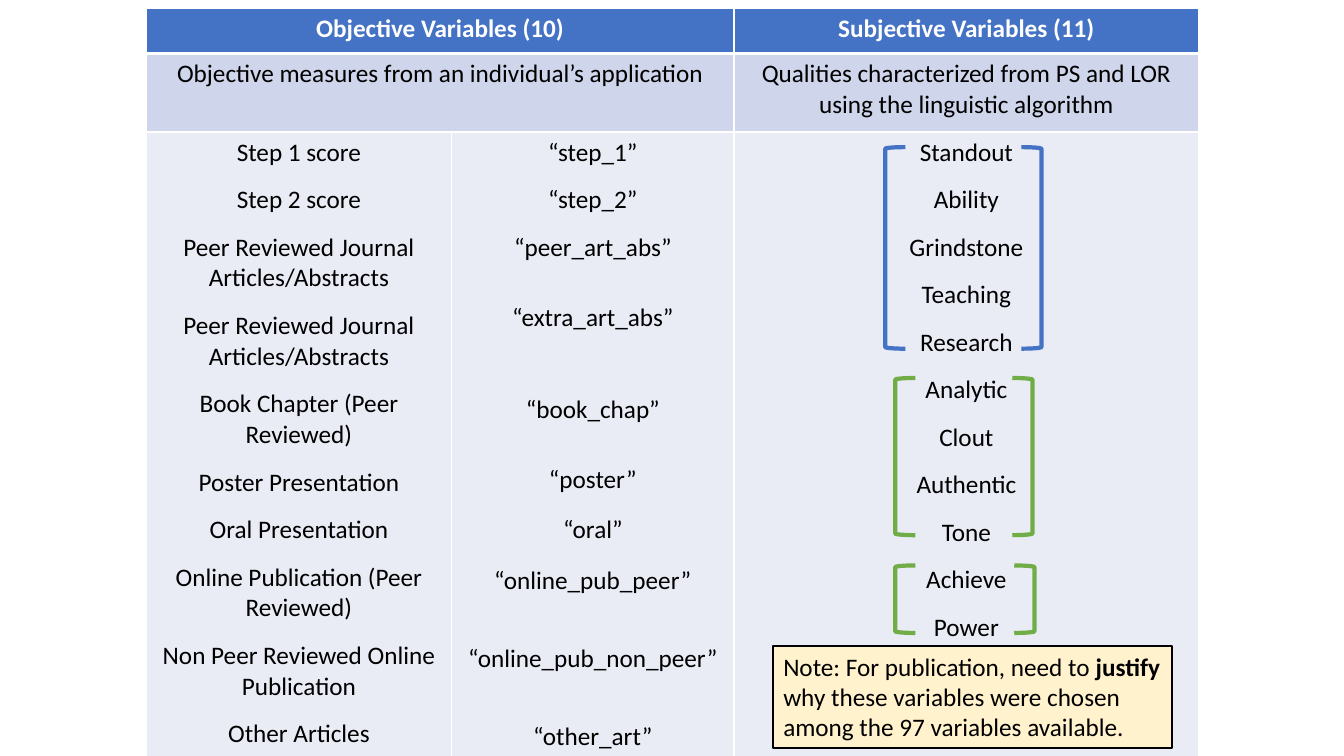
"""Build a slide that lists objective and subjective variables in a table."""
from lxml.etree import SubElement
from pptx import Presentation
from pptx.dml.color import RGBColor
from pptx.enum.shapes import MSO_SHAPE as Shape
from pptx.enum.text import MSO_ANCHOR as Anchor, PP_ALIGN as Align
from pptx.oxml.ns import qn
from pptx.util import Inches, Pt

COLORS = {"blue": "4472C4", "green": "70AD47", "band": "CFD5EA", "body": "E9EBF5",
          "cream": "FFF2CC", "white": "FFFFFF", "black": "000000"}


def color(name):
    return RGBColor.from_string(COLORS[name])


def write(para, text, ink="black", bold=False, align=Align.CENTER, before=0):
    para.alignment = align
    para.space_before = Pt(before)
    span = para.add_run()
    span.text = text
    span.font.name = "Calibri"
    span.font.size = Pt(18)
    span.font.bold = bold
    span.font.color.rgb = color(ink)


deck = Presentation()
deck.slide_width, deck.slide_height = Inches(13.33), Inches(7.5)
slide = deck.slides.add_slide(deck.slide_layouts[6])

column_widths = [3.03, 2.8, 4.61]
row_heights = [0.45, 0.78, 6.12]
row_fills = ["blue", "band", "body"]
table = slide.shapes.add_table(3, 3, Inches(1.45), Inches(0.08),
                               Inches(sum(column_widths)), Inches(sum(row_heights))).table
for column, width in zip(table.columns, column_widths):
    column.width = Inches(width)
for row, height in zip(table.rows, row_heights):
    row.height = Inches(height)

for row_index, fill in enumerate(row_fills):
    for cell in table.rows[row_index].cells:
        properties = cell._tc.get_or_add_tcPr()
        for side in "LRTB":
            heavy = (row_index, side) in [(0, "B"), (1, "T")]
            border = SubElement(properties, qn(f"a:ln{side}"), w=str(Pt(3 if heavy else 1)))
            solid = SubElement(border, qn("a:solidFill"))
            SubElement(solid, qn("a:srgbClr"), val=COLORS["white"])
        cell.fill.solid()
        cell.fill.fore_color.rgb = color(fill)
for row_index in range(2):
    table.cell(row_index, 0).merge(table.cell(row_index, 1))

headings = [
    ("Objective Variables (10)", "Subjective Variables (11)"),
    ("Objective measures from an individual’s application",
     "Qualities characterized from PS and LOR using the linguistic algorithm"),
]
for row_index, texts in enumerate(headings):
    for column_index, text in zip((0, 2), texts):
        para = table.cell(row_index, column_index).text_frame.paragraphs[0]
        write(para, text, ink="black" if row_index else "white", bold=row_index == 0)

objective = [
    ("Step 1 score", "“step_1”", 0),
    ("Step 2 score", "“step_2”", 12),
    ("Peer Reviewed Journal Articles/Abstracts", "“peer_art_abs”", 12),
    ("Peer Reviewed Journal Articles/Abstracts", "“extra_art_abs”", 28),
    ("Book Chapter (Peer Reviewed)", "“book_chap”", 44),
    ("Poster Presentation", "“poster”", 28),
    ("Oral Presentation", "“oral”", 14),
    ("Online Publication (Peer Reviewed)", "“online_pub_peer”", 14),
    ("Non Peer Reviewed Online Publication", "“online_pub_non_peer”", 34),
    ("Other Articles", "“other_art”", 34),
]
subjective = ["Standout", "Ability", "Grindstone", "Teaching", "Research", "Analytic",
              "Clout", "Authentic", "Tone", "Achieve", "Power"]
body_columns = [
    [(label, 12) for label, code, gap in objective],
    [(code, gap) for label, code, gap in objective],
    [(label, 12) for label in subjective],
]
for column_index, entries in enumerate(body_columns):
    frame = table.cell(2, column_index).text_frame
    for index, (text, gap) in enumerate(entries):
        para = frame.add_paragraph() if index else frame.paragraphs[0]
        write(para, text, before=gap if index else 0)

note = slide.shapes.add_shape(Shape.RECTANGLE, Inches(7.67), Inches(6.41),
                              Inches(3.95), Inches(1.01))
note.shadow.inherit = False
note.fill.solid()
note.fill.fore_color.rgb = color("cream")
note.line.color.rgb = color("black")
note.line.width = Pt(1.5)
note.text_frame.word_wrap = True
note.text_frame.vertical_anchor = Anchor.TOP
for text, bold in [("Note: For publication, need to ", False), ("justify", True),
                   (" why these variables were chosen among the 97 variables available.", False)]:
    write(note.text_frame.paragraphs[0], text, bold=bold, align=Align.LEFT)

bracket_pairs = [
    (8.78, 10.13, 1.46, 2, "blue"),
    (8.88, 10.04, 3.75, 1.56, "green"),
    (8.88, 10.06, 5.61, 0.67, "green"),
]
for left, right, top, height, ink in bracket_pairs:
    for kind, x in [(Shape.LEFT_BRACKET, left), (Shape.RIGHT_BRACKET, right)]:
        bracket = slide.shapes.add_shape(kind, Inches(x), Inches(top), Inches(0.2), Inches(height))
        bracket.shadow.inherit = False
        bracket.fill.background()
        bracket.line.color.rgb = color(ink)
        bracket.line.width = Pt(3)

deck.save("out.pptx")
